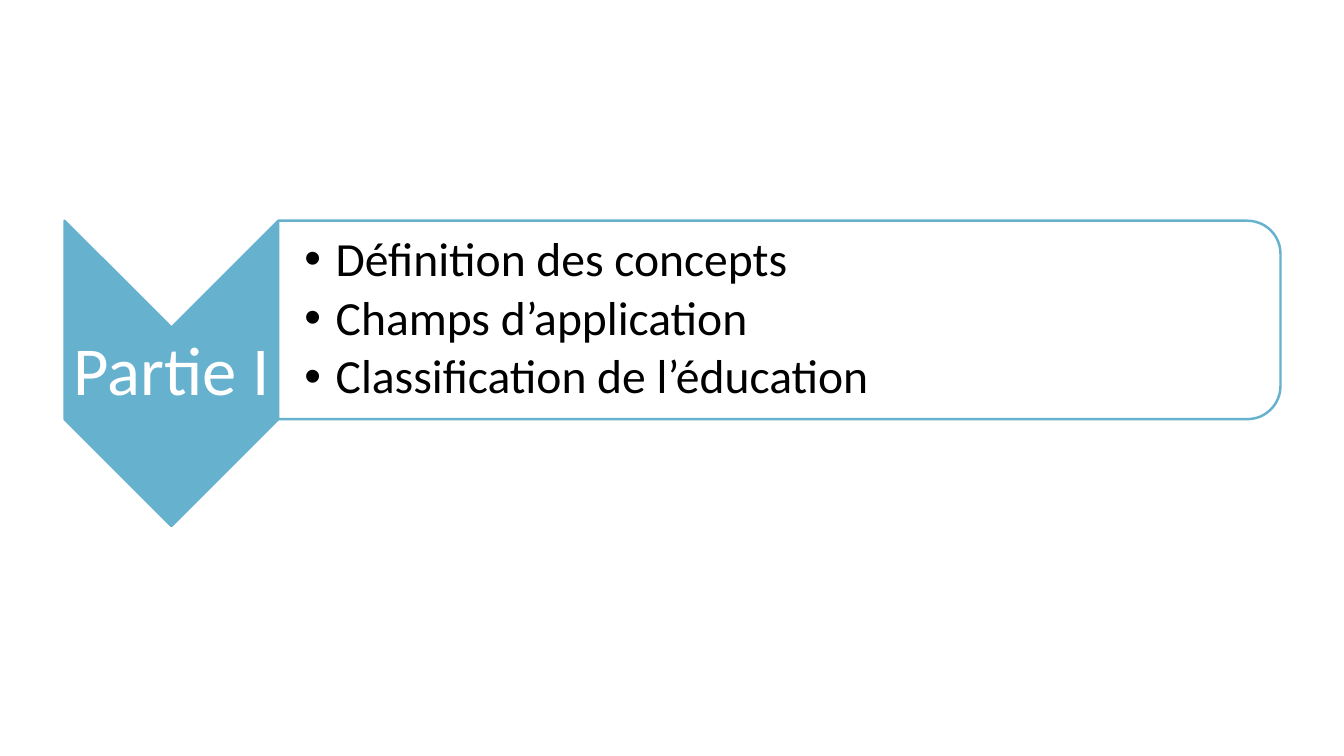
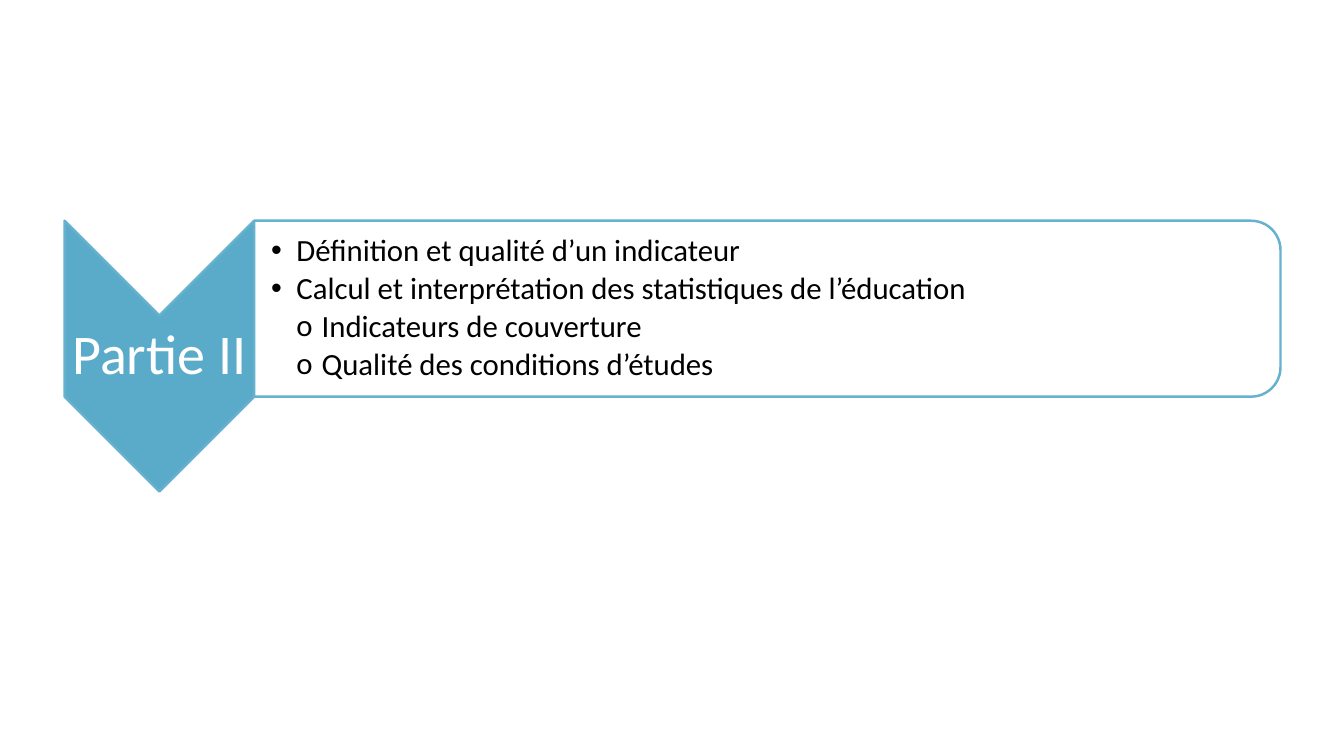
from dataclasses import dataclass
from lxml.etree import SubElement
from pptx import Presentation
from pptx.dml.color import RGBColor
from pptx.enum.shapes import MSO_SHAPE
from pptx.enum.text import MSO_ANCHOR, MSO_AUTO_SIZE, PP_ALIGN
from pptx.oxml.ns import qn
from pptx.util import Inches, Pt


@dataclass(frozen=True)
class Theme:
    """Colours, fonts and proportions shared by the slides."""
    font: str = "Calibri"
    accent: str = "66B1CE"
    accent_deep: str = "5AAACA"
    white: str = "FFFFFF"
    ink: str = "000000"
    line_pt: float = 1.75
    line_spacing: float = 0.9
    chevron_ratio: float = 0.7
    band_ratio: float = 0.65
    corner: float = 0.05


T = Theme()
BULLETS = {1: ("•", "Arial"), 2: ("o", T.font)}
LEFT, TOP, RIGHT = 0.64, 2.19, 12.7


def rgb(color):
    """Return a colour object for a hex string."""
    return RGBColor.from_string(color)


def add_turned(s, kind, box, fill):
    """Add a shape turned a quarter so that it fills box, behind the text."""
    x, y, w, h = box
    sp = s.shapes.add_shape(kind, Inches(x + (w - h) / 2), Inches(y + (h - w) / 2),
                            Inches(h), Inches(w))
    sp.rotation = 90
    sp.shadow.inherit = False
    sp.fill.solid()
    sp.fill.fore_color.rgb = rgb(fill)
    sp.line.color.rgb = rgb(T.accent)
    sp.line.width = Pt(T.line_pt)
    s.shapes.element.insert(2, sp.element)
    return sp


def set_frame(sp, box, inset, left_inset):
    """Place a placeholder in box and return its empty text frame."""
    sp.left, sp.top, sp.width, sp.height = map(Inches, box)
    tf = sp.text_frame
    tf.word_wrap = True
    tf.auto_size = MSO_AUTO_SIZE.NONE
    tf.vertical_anchor = MSO_ANCHOR.MIDDLE
    tf.margin_left = Inches(left_inset)
    tf.margin_top = tf.margin_right = tf.margin_bottom = Inches(inset)
    return tf


def write(p, text, size, color, after, align=PP_ALIGN.LEFT):
    """Write one formatted run, with space after as a share of its size."""
    p.alignment = align
    p.line_spacing = T.line_spacing
    p.space_before = Pt(0)
    p.space_after = Pt(round(size * after, 1))
    r = p.add_run()
    r.text = text
    r.font.name, r.font.size = T.font, Pt(size)
    r.font.color.rgb = rgb(color)


def set_bullet(p, level, indent):
    """Give a paragraph the hanging bullet of its level."""
    char, font = BULLETS[level]
    p.level = level
    pPr = p._p.get_or_add_pPr()
    pPr.set("marL", str(Inches(indent * level)))
    pPr.set("indent", str(-Inches(indent)))
    SubElement(pPr, qn("a:buFont")).set("typeface", font)
    SubElement(pPr, qn("a:buChar")).set("char", char)


def add_chevron(s, box, text, size, fill):
    """Draw the downward chevron in box, with the title in its body."""
    x, y, w, h = box
    add_turned(s, MSO_SHAPE.CHEVRON, box, fill)
    tf = set_frame(s.shapes.title, (x, y + w / 2, w, h - w), 0.03, 0.03)
    write(tf.paragraphs[0], text, size, T.white, 0.35, PP_ALIGN.CENTER)


def add_band(s, box, items, size, inset, indent):
    """Draw the rounded band in box, with the list inside its corners."""
    x, y, w, h = box
    add_turned(s, MSO_SHAPE.ROUND_2_SAME_RECTANGLE, box, T.white)
    gap = h * T.corner
    tf = set_frame(s.placeholders[1], (x, y + gap, w - gap, h - 2 * gap), 0.02, inset)
    for i, (level, text) in enumerate(items):
        p = tf.add_paragraph() if i else tf.paragraphs[0]
        write(p, text, size, T.ink, 0.15)
        set_bullet(p, level, indent)


def add_part(prs, title, items, width, title_size, size, inset, indent, fill):
    """Add a part slide: a chevron of the given width, then its band."""
    s = prs.slides.add_slide(prs.slide_layouts[1])
    height = width / T.chevron_ratio
    x = LEFT + width
    add_band(s, (x, TOP, RIGHT - x, height * T.band_ratio), items, size, inset, indent)
    add_chevron(s, (LEFT, TOP, width, height), title, title_size, fill)


def main():
    """Build the two part slides."""
    prs = Presentation()
    prs.slide_width, prs.slide_height = Inches(13.33), Inches(7.5)
    add_part(prs, "Partie I",
             [(1, "Définition des concepts"),
              (1, "Champs d’application"),
              (1, "Classification de l’éducation")],
             width=2.12, title_size=49, size=34, inset=0.26, indent=0.31, fill=T.accent)
    add_part(prs, "Partie II",
             [(1, "Définition et qualité d’un indicateur"),
              (1, "Calcul et interprétation des statistiques de l’éducation"),
              (2, "Indicateurs de couverture"),
              (2, "Qualité des conditions d’études")],
             width=1.88, title_size=40, size=22, inset=0.17, indent=0.25, fill=T.accent_deep)
    prs.save("out.pptx")


if __name__ == "__main__":
    main()
